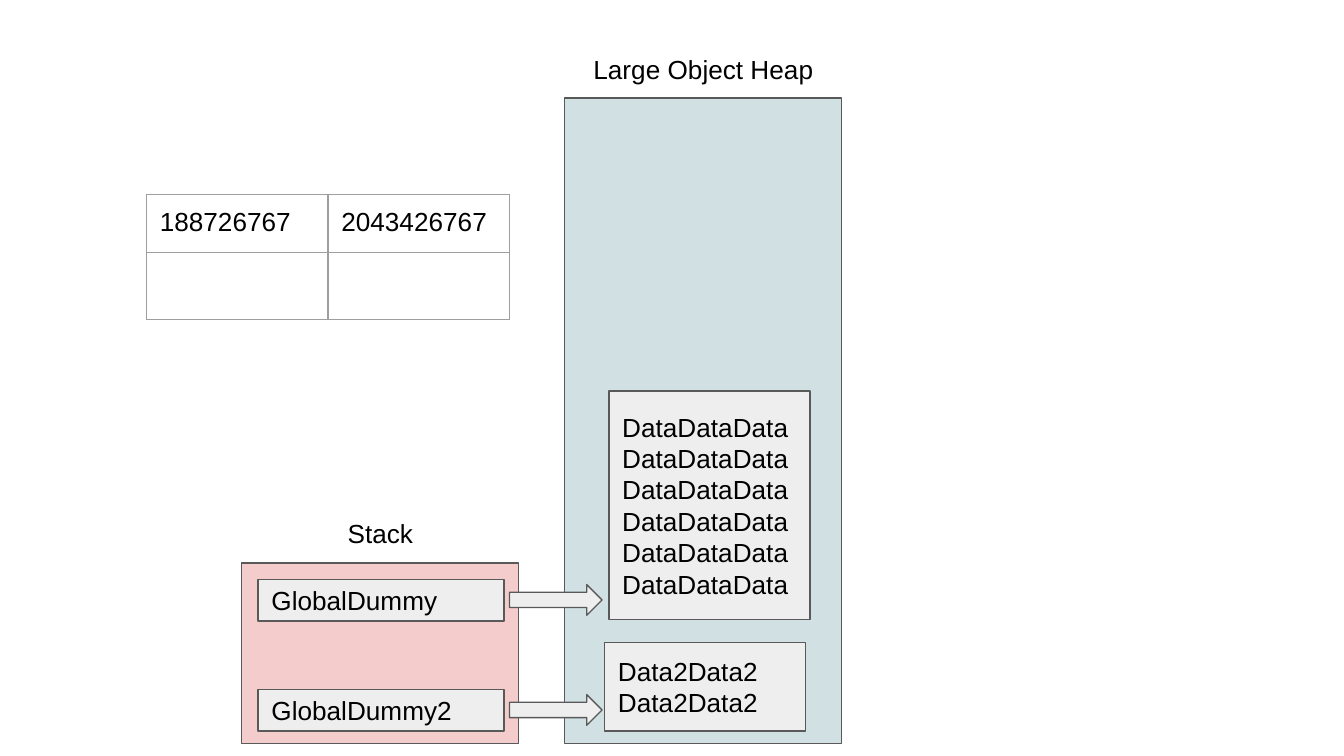
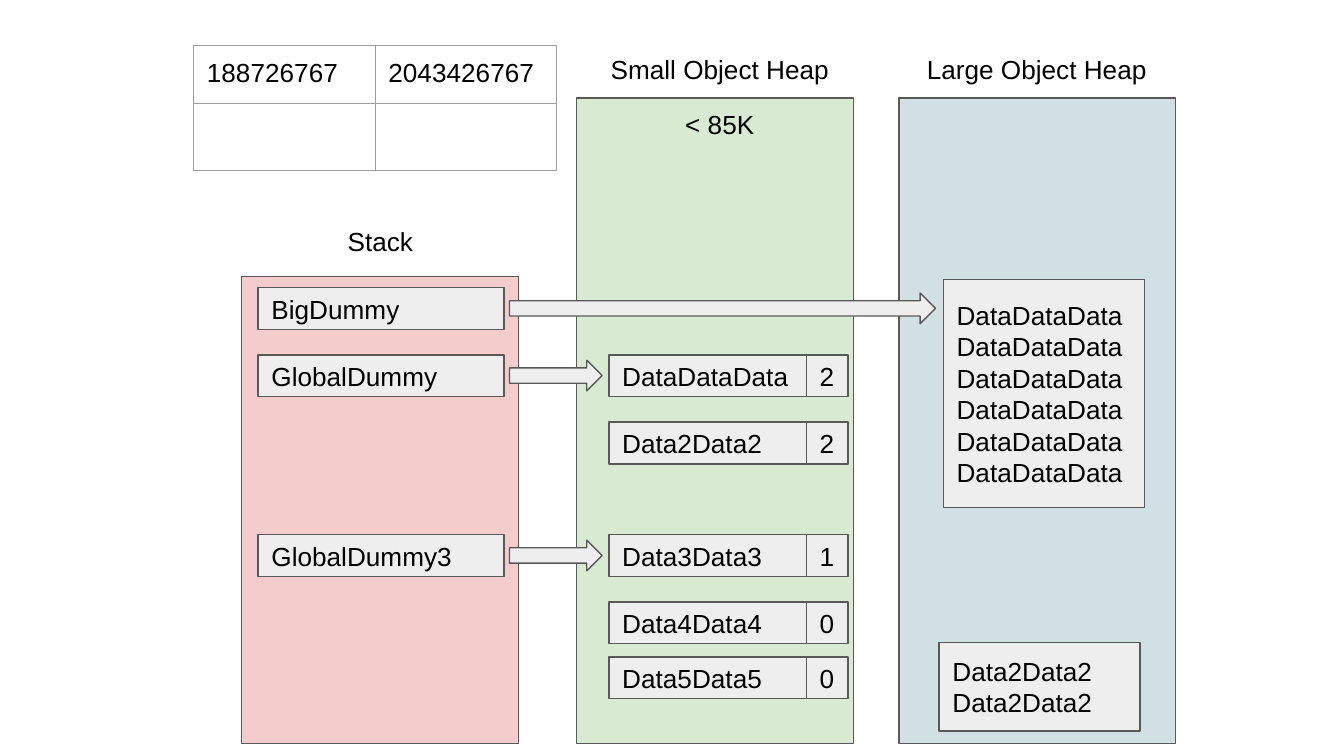
from lxml import etree
from pptx import Presentation, util as u
from pptx.dml.color import RGBColor
from pptx.enum import shapes, text
from pptx.oxml import ns

BOTTOM = 14.06
STACK_X, VAR_X, ARROW_X, DATA_X, COUNT_X = 4.57, 4.88, 9.63, 11.51, 15.24
HEAP_TOP = 1.85
ROW_H, DATA_W = 0.79, 3.8
PINK, GREEN, BLUE = "F4CCCC", "D9EAD3", "D0E0E3"
BIG_DATA = "\n".join("\v".join(["DataDataData"] * n) for n in (2, 4))
SMALL_DATA = "Data2Data2\nData2Data2"


def rgb(value):
    return RGBColor.from_string(value)


class Deck:
    font, size, ink = "Arial", 14, "000000"
    gray, edge, grid = "EEEEEE", "595959", "9E9E9E"
    inset = u.Cm(0.25)

    def __init__(self):
        self.prs = Presentation()
        self.prs.slide_width, self.prs.slide_height = u.Cm(25.4), u.Cm(14.29)

    def new_slide(self):
        self.s = self.prs.slides.add_slide(self.prs.slide_layouts[6])

    def set_text(self, tf, words, align=text.PP_ALIGN.LEFT):
        tf.text = words
        for p in tf.paragraphs:
            p.alignment = align
            for br in p._p.findall(ns.qn("a:br")):
                etree.SubElement(br, ns.qn("a:rPr"), sz=str(self.size * 100))
            for r in p.runs:
                r.font.name, r.font.size = self.font, u.Pt(self.size)
                r.font.color.rgb = rgb(self.ink)

    def pad(self, holder):
        holder.margin_left = holder.margin_right = self.inset
        holder.margin_top = holder.margin_bottom = self.inset

    def shape(self, kind, x, y, w, h, fill):
        sp = self.s.shapes.add_shape(kind, u.Cm(x), u.Cm(y), u.Cm(w), u.Cm(h))
        sp.shadow.inherit = False
        sp.fill.solid()
        sp.fill.fore_color.rgb = rgb(fill)
        sp.line.color.rgb = rgb(self.edge)
        sp.line.width = u.Pt(0.75)
        return sp

    def area(self, x, y, fill):
        self.shape(shapes.MSO_SHAPE.RECTANGLE, x, y, 5.23, BOTTOM - y, fill)

    def box(self, words, x, y, w=DATA_W, h=ROW_H):
        sp = self.shape(shapes.MSO_SHAPE.RECTANGLE, x, y, w, h, self.gray)
        tf = sp.text_frame
        tf.word_wrap = True
        tf.vertical_anchor = text.MSO_ANCHOR.MIDDLE
        self.pad(tf)
        self.set_text(tf, words)

    def label(self, words, x, y, w=5.11):
        tf = self.s.shapes.add_textbox(u.Cm(x), u.Cm(y), u.Cm(w), u.Cm(1.12)).text_frame
        tf.word_wrap = True
        tf.auto_size = text.MSO_AUTO_SIZE.SHAPE_TO_FIT_TEXT
        self.pad(tf)
        self.set_text(tf, words, text.PP_ALIGN.CENTER)

    def stack(self, y, label_y):
        self.area(STACK_X, y, PINK)
        self.label("Stack", 5.16, label_y, 4.06)

    def variable(self, name, y, arrow_w=1.75):
        self.box(name, VAR_X, y, 4.65)
        self.shape(shapes.MSO_SHAPE.RIGHT_ARROW, ARROW_X, y + 0.1, arrow_w, 0.58, self.gray)

    def counted(self, words, count, y):
        self.box(words, DATA_X, y)
        self.box(count, COUNT_X, y, ROW_H)

    def large_heap(self, x, label_x, big_y):
        self.area(x, HEAP_TOP, BLUE)
        self.label("Large Object Heap", label_x, 0.76)
        self.box(BIG_DATA, x + 0.84, big_y, h=4.32)
        self.box(SMALL_DATA, x + 0.76, 12.14, h=1.68)

    def table(self, rows, x, y, col_w=3.43, row_h=1.07):
        n, m = len(rows), len(rows[0])
        tbl = self.s.shapes.add_table(
            n, m, u.Cm(x), u.Cm(y), u.Cm(m * col_w), u.Cm(n * row_h)).table
        tbl.first_row = tbl.horz_banding = False
        for i, row in enumerate(rows):
            for j, words in enumerate(row):
                cell = tbl.cell(i, j)
                self.pad(cell)
                if words:
                    self.set_text(cell.text_frame, words)
                self.borders(cell)
                cell.fill.background()

    def borders(self, cell):
        tc_pr = cell._tc.get_or_add_tcPr()
        for side in "LRTB":
            ln = etree.SubElement(tc_pr, ns.qn("a:ln" + side), w=str(u.Pt(0.75)))
            fill = etree.SubElement(ln, ns.qn("a:solidFill"))
            etree.SubElement(fill, ns.qn("a:srgbClr"), val=self.grid)


d = Deck()
addresses = [["188726767", "2043426767"], ["", ""]]

d.new_slide()
d.stack(10.64, 9.53)
d.large_heap(10.67, 10.74, 7.39)
d.variable("GlobalDummy", 10.95)
d.variable("GlobalDummy2", 13.03)
d.table(addresses, 2.77, 3.68)

d.new_slide()
d.stack(5.23, 4.01)
d.area(10.9, HEAP_TOP, GREEN)
d.label("Small Object Heap", 11.05, 0.76)
d.label("< 85K", 11.05, 1.8)
d.large_heap(16.99, 17.04, 5.28)
d.variable("BigDummy", 5.44, 8.05)
d.variable("GlobalDummy", 6.71)
d.variable("GlobalDummy3", 10.11)
for words, count, y in [
    ("DataDataData", "2", 6.71),
    ("Data2Data2", "2", 7.98),
    ("Data3Data3", "1", 10.11),
    ("Data4Data4", "0", 11.38),
    ("Data5Data5", "0", 12.42),
]:
    d.counted(words, count, y)
d.table(addresses, 3.66, 0.86)

d.prs.save("out.pptx")
